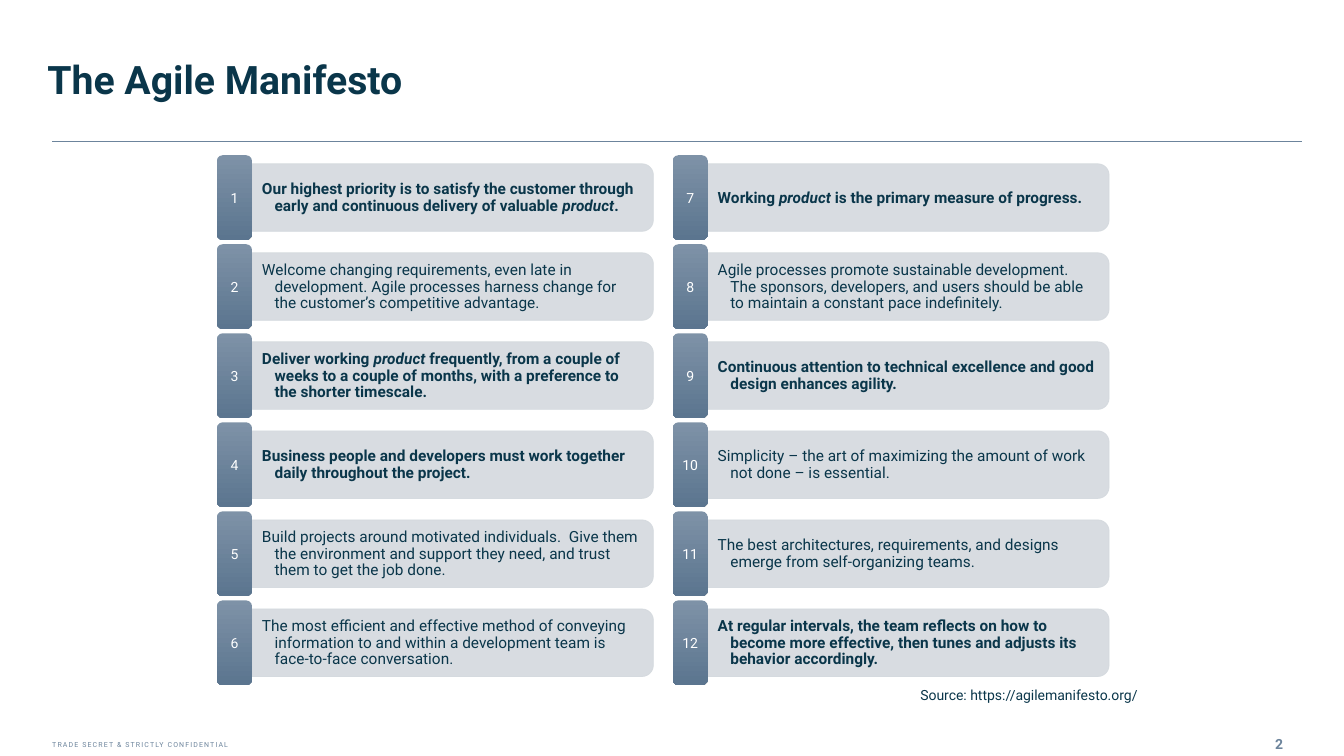
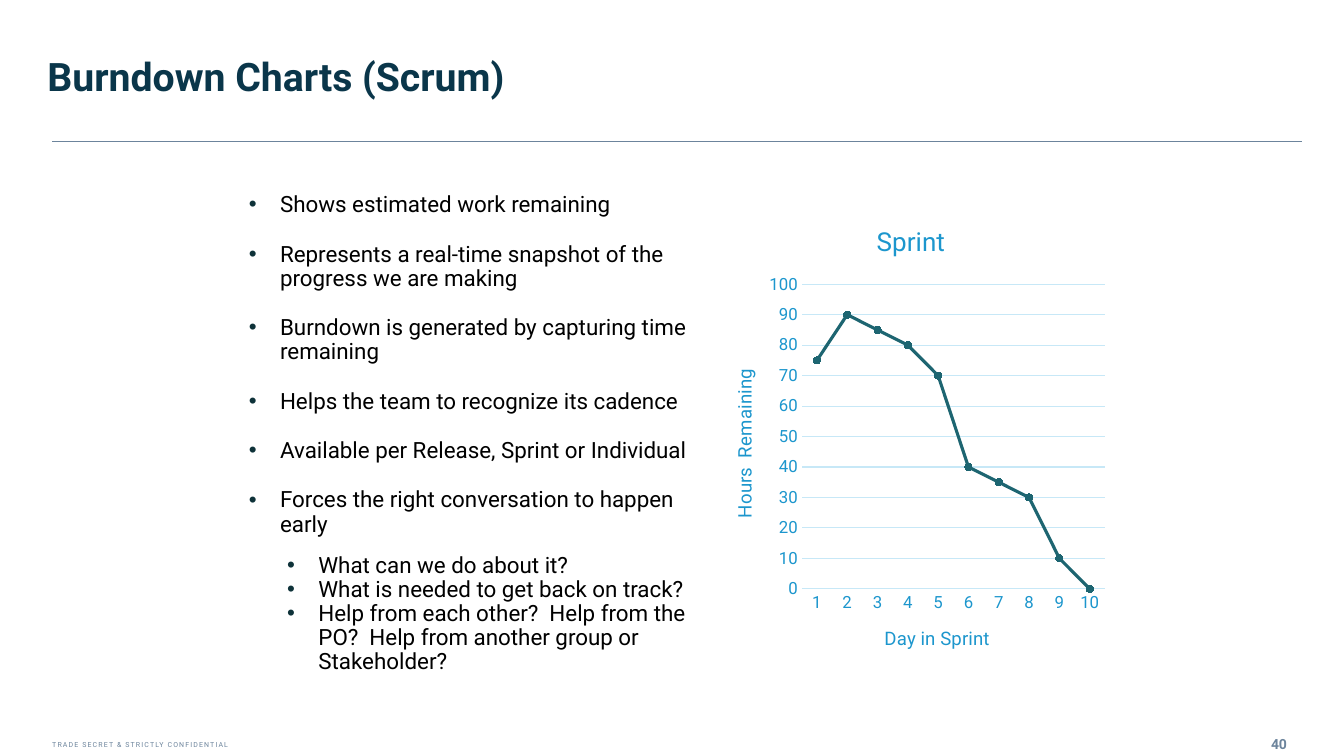
"""Builds two slides on agile working: the twelve principles and a burndown chart."""
from lxml import etree
from pptx import Presentation, util as u
from pptx.chart import data
from pptx.dml import color
from pptx.enum import chart as ch, shapes, text
from pptx.oxml import ns

INK, SLATE, CARD, BULLET = "0A364A", "6C849C", "D4D9DE", "0E3239"
SKY, GRID, TEAL = "1C96CD", "C7E8F7", "1D6571"
WHITE, BLACK = "FFFFFF", "000000"
FACE = "Roboto"
ALIGN = text.PP_ALIGN


def style(font, size, hue, bold=False):
    font.name, font.size, font.bold = FACE, u.Pt(size), bold
    font.color.rgb = color.RGBColor.from_string(hue)


def write(slide, frame, words, size, hue, bold=False, align=ALIGN.LEFT):
    box = slide.shapes.add_textbox(*map(u.Inches, frame)).text_frame
    box.word_wrap = True
    for i, line in enumerate(words):
        para = box.paragraphs[0] if i == 0 else box.add_paragraph()
        para.alignment = align
        for j, part in enumerate(line.split("*")):
            run = para.add_run()
            run.text = part
            style(run.font, size, hue, bold)
            run.font.italic = j % 2 == 1
    return box


deck = Presentation()
deck.slide_width, deck.slide_height = u.Inches(13.33), u.Inches(7.5)

slides = []
for heading, title_top, number in [("The Agile Manifesto", 0.18, "2"),
                                   ("Burndown Charts (Scrum)", 0.15, "40")]:
    slide = deck.slides.add_slide(deck.slide_layouts[5])
    slides.append(slide)
    title = slide.shapes.title
    title.left, title.top, title.width, title.height = map(
        u.Inches, (0.47, title_top, 8.67, 1.2))
    frame = title.text_frame
    frame.text = heading
    frame.auto_size = text.MSO_AUTO_SIZE.NONE
    frame.vertical_anchor = text.MSO_ANCHOR.MIDDLE
    frame.margin_left = frame.margin_right = frame.margin_top = frame.margin_bottom = 0
    frame.paragraphs[0].alignment = ALIGN.LEFT
    style(frame.paragraphs[0].runs[0].font, 28, INK, True)

    rule = slide.shapes.add_connector(
        shapes.MSO_CONNECTOR.STRAIGHT, *map(u.Inches, (0.52, 1.4, 12.91, 1.4)))
    rule.line.color.rgb = color.RGBColor.from_string(SLATE)
    rule.line.width = u.Pt(0.25)
    etree.SubElement(rule._element.spPr, ns.qn("a:effectLst"))

    footer = write(slide, (0.42, 7.3, 2.6, 0.18),
                   ["TRADE SECRET & STRICTLY CONFIDENTIAL"], 5, SLATE)
    footer.paragraphs[0].runs[0].font._element.set("spc", "80")
    write(slide, (12.49, 7.25, 0.39, 0.27), [number], 10, SLATE, True, ALIGN.CENTER)

manifesto, burndown = slides

principles = [
    "Our highest priority is to satisfy the customer through early and continuous "
    "delivery of valuable *product*.",
    "Welcome changing requirements, even late in development. Agile processes harness "
    "change for the customer’s competitive advantage.",
    "Deliver working *product *frequently, from a couple of weeks to a couple of months, "
    "with a preference to the shorter timescale.",
    "Business people and developers must work together daily throughout the project.",
    "Build projects around motivated individuals.  Give them the environment and support "
    "they need, and trust them to get the job done.",
    "The most efficient and effective method of conveying information to and within a "
    "development team is face-to-face conversation.",
    "Working *product *is the primary measure of progress.",
    "Agile processes promote sustainable development.  The sponsors, developers, and users "
    "should be able to maintain a constant pace indefinitely.",
    "Continuous attention to technical excellence and good design enhances agility.",
    "Simplicity – the art of maximizing the amount of work not done – is essential.",
    "The best architectures, requirements, and designs emerge from self-organizing teams.",
    "At regular intervals, the team reflects on how to become more effective, then tunes "
    "and adjusts its behavior accordingly.",
]
stressed = {1, 3, 4, 7, 9, 12}
rows, grid_left, grid_top = 6, 2.15, 1.54
column_step, row_step = 4.52, 5.3 / rows
badge_w, badge_h, card_w, card_h = 0.35, 0.84, 3.98, 0.67

for index, principle in enumerate(principles):
    column, row = divmod(index, rows)
    left, top = grid_left + column * column_step, grid_top + row * row_step
    card_left, middle = left + badge_w, top + badge_h / 2

    card = manifesto.shapes.add_shape(
        shapes.MSO_SHAPE.ROUND_2_SAME_RECTANGLE,
        *map(u.Inches, (card_left + (card_w - card_h) / 2, middle - card_w / 2,
                        card_h, card_w)))
    card.rotation = 90
    card.shadow.inherit = False
    card.fill.solid()
    card.fill.fore_color.rgb = color.RGBColor.from_string(CARD)
    card.line.color.rgb = color.RGBColor.from_string(CARD)
    card.line.width = u.Pt(0.5)
    for tint in card._element.spPr.iter(ns.qn("a:srgbClr")):
        etree.SubElement(tint, ns.qn("a:alpha"), val="90000")

    wording = write(manifesto, (card_left, middle - 0.3, 3.95, 0.61), [principle],
                    11, INK, index + 1 in stressed)
    wording.vertical_anchor = text.MSO_ANCHOR.MIDDLE
    wording.margin_top = wording.margin_bottom = u.Inches(0.14)
    wording.paragraphs[0].line_spacing = 0.9
    hanging = wording.paragraphs[0]._p.get_or_add_pPr()
    hanging.set("marL", str(u.Inches(0.125)))
    hanging.set("indent", str(-u.Inches(0.125)))

    badge = manifesto.shapes.add_shape(
        shapes.MSO_SHAPE.ROUNDED_RECTANGLE,
        *map(u.Inches, (left, top, badge_w, badge_h)))
    badge.shadow.inherit = False
    badge.line.fill.background()
    badge.fill.gradient()
    badge.fill.gradient_angle = 270
    for stop, hue in zip(badge.fill.gradient_stops, ("7E92A7", "5B758F")):
        stop.color.rgb = color.RGBColor.from_string(hue)
    label = badge.text_frame
    label.text = str(index + 1)
    label.vertical_anchor = text.MSO_ANCHOR.MIDDLE
    label.margin_left = label.margin_right = u.Inches(0.04)
    label.margin_top = label.margin_bottom = u.Inches(0.02)
    label.paragraphs[0].alignment = ALIGN.CENTER
    style(label.paragraphs[0].runs[0].font, 10, WHITE)

source = write(manifesto, (8.99, 6.76, 2.39, 0.27),
               ["Source: https://agilemanifesto.org/"], 10, INK, align=ALIGN.RIGHT)
source.word_wrap = False

points = [
    "Shows estimated work remaining",
    "Represents a real-time snapshot of the progress we are making",
    "Burndown is generated by capturing time remaining",
    "Helps the team to recognize its cadence",
    "Available per Release, Sprint or Individual",
    "Forces the right conversation to happen early",
]
questions = [
    "What can we do about it?",
    "What is needed to get back on track?",
    "Help from each other?  Help from the PO?  Help from another group or Stakeholder?",
]
notes = write(burndown, (2.37, 1.87, 4.66, 4.98), points + questions, 16, BLACK)
for index, para in enumerate(notes.paragraphs):
    is_point = index < len(points)
    para.level = 0 if is_point else 1
    para.line_spacing = 0.9
    para.space_before = u.Pt(6 if is_point and index else 0)
    para.space_after = u.Pt(12 if is_point else 0)
    props = para._p.get_or_add_pPr()
    props.set("marL", str(u.Inches(0.31 if is_point else 0.69)))
    props.set("indent", str(-u.Inches(0.31)))
    bullet_hue = etree.SubElement(props, ns.qn("a:buClr"))
    etree.SubElement(bullet_hue, ns.qn("a:srgbClr"), val=BULLET)
    etree.SubElement(props, ns.qn("a:buFont"), typeface="Arial")
    etree.SubElement(props, ns.qn("a:buChar"), char="•")

hours = data.CategoryChartData()
hours.categories = [str(day) for day in range(1, 11)]
hours.add_series("Sprint", (75, 90, 85, 80, 70, 40, 35, 30, 10, 0))
sprint = burndown.shapes.add_chart(
    ch.XL_CHART_TYPE.LINE_MARKERS, *map(u.Inches, (7.03, 2.03, 4.01, 4.65)), hours).chart
style(sprint.font, 10, INK)
sprint.has_legend = False
sprint.has_title = True
sprint.chart_title.include_in_layout = False
days, remaining = sprint.category_axis, sprint.value_axis
for owner, caption, size in [(sprint.chart_title, "Sprint", 18.6),
                             (days.axis_title, "Day in Sprint", 13.3),
                             (remaining.axis_title, "Hours  Remaining", 13.3)]:
    owner.text_frame.text = caption
    style(owner.text_frame.paragraphs[0].runs[0].font, size, SKY)
for axis in (days, remaining):
    axis.major_tick_mark = axis.minor_tick_mark = ch.XL_TICK_MARK.NONE
    style(axis.tick_labels.font, 12, SKY)
remaining.minimum_scale, remaining.maximum_scale, remaining.major_unit = 0, 100, 10
remaining.format.line.fill.background()
for line in (days.format.line, remaining.major_gridlines.format.line):
    line.color.rgb = color.RGBColor.from_string(GRID)
    line.width = u.Pt(0.75)

plot = sprint.plots[0]
plot.vary_by_categories = False
burn = plot.series[0]
burn.smooth = False
burn.format.line.width = u.Pt(2.25)
burn.format.line.color.rgb = color.RGBColor.from_string(TEAL)
burn.marker.style, burn.marker.size = ch.XL_MARKER_STYLE.CIRCLE, 5
burn.marker.format.fill.solid()
burn.marker.format.fill.fore_color.rgb = color.RGBColor.from_string(TEAL)
burn.marker.format.line.color.rgb = color.RGBColor.from_string(TEAL)

area = sprint._chartSpace.chart.plotArea
for old in area.findall(ns.qn("c:layout")):
    area.remove(old)
layout = etree.Element(ns.qn("c:layout"))
area.insert(0, layout)
manual = etree.SubElement(layout, ns.qn("c:manualLayout"))
for tag, value in [("layoutTarget", "inner"), ("xMode", "edge"), ("yMode", "edge"),
                   ("x", "0.23"), ("y", "0.17"), ("w", "0.75"), ("h", "0.65")]:
    etree.SubElement(manual, ns.qn("c:" + tag), val=value)

deck.save("out.pptx")
